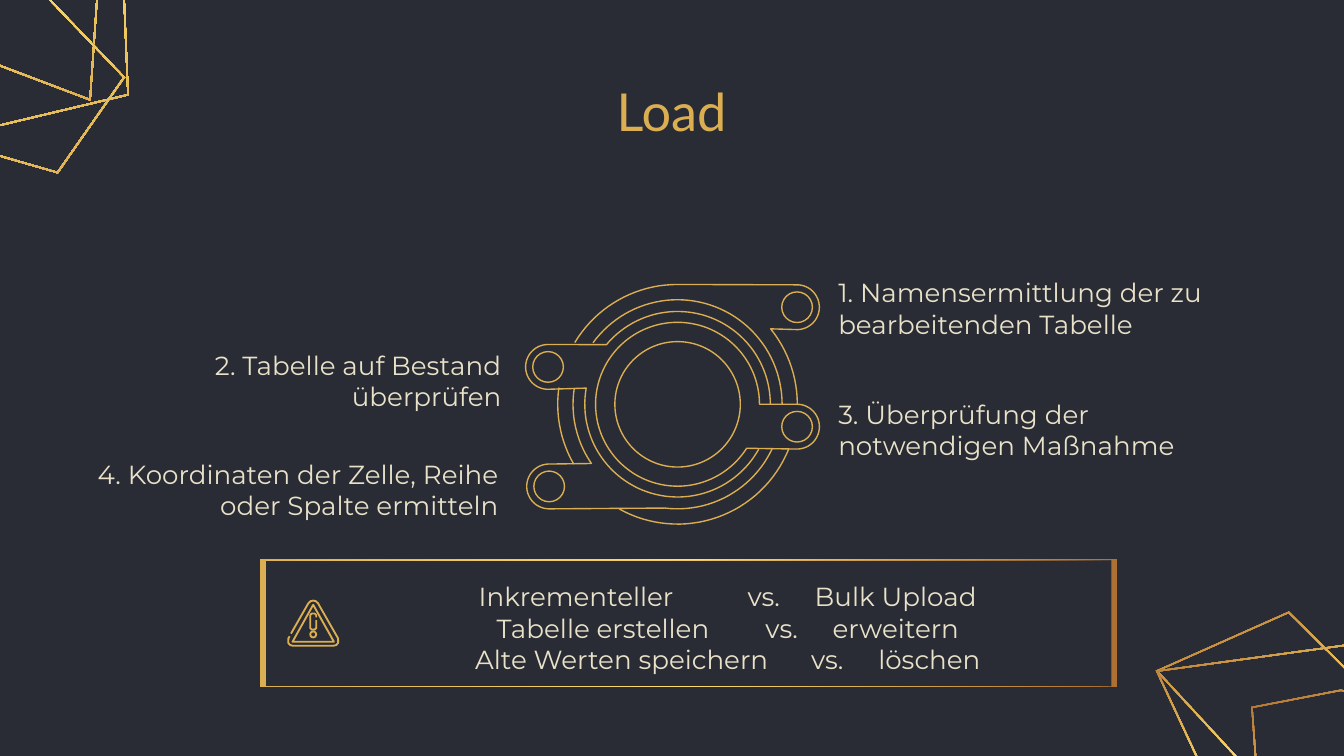
"""Build the "Load" slide: four numbered steps around a ring diagram and a warning callout."""
from math import cos, hypot, radians, sin

from pptx import Presentation
from pptx.dml.color import RGBColor
from pptx.enum.shapes import MSO_SHAPE
from pptx.enum.text import MSO_ANCHOR, MSO_AUTO_SIZE, PP_ALIGN
from pptx.oxml import parse_xml
from pptx.oxml.ns import nsdecls, qn
from pptx.util import Pt

COLORS = {"bg": "292C35", "gold": "DCAE52", "bronze": "AF7132", "bright": "FFDD6B", "cream": "E9E2C9"}
RGB = {name: RGBColor.from_string(value) for name, value in COLORS.items()}


def arc(center, radius, start, end):
    """Return points along a circular arc, with angles in degrees clockwise from the right."""
    count = max(4, round(abs(end - start) / 3))
    angles = [radians(start + (end - start) * i / count) for i in range(count + 1)]
    return [(center[0] + radius * cos(a), center[1] + radius * sin(a)) for a in angles]


def add_outline(contours, closed):
    """Add one freeform made of the given contours in points."""
    builder = s.shapes.build_freeform(Pt(contours[0][0][0]), Pt(contours[0][0][1]))
    for i, contour in enumerate(contours):
        points = [(Pt(x), Pt(y)) for x, y in contour]
        if i:
            builder.move_to(*points[0])
        builder.add_line_segments(points[1:], close=closed)
    shape = builder.convert_to_shape()
    shape.shadow.inherit = False
    return shape


prs = Presentation()
prs.slide_width, prs.slide_height = Pt(720), Pt(405)
s = prs.slides.add_slide(prs.slide_layouts[5])
s.background.fill.solid()
s.background.fill.fore_color.rgb = RGB["bg"]

corner_polygons = [
    [(48.6, 54), (59.8, -108.5), (-141, -81.2), (-104.5, -4)],
    [(811.2, 461.5), (807, 398.9), (718.5, 369.4), (670.3, 378.7), (672.5, 409), (724.3, 484.6)],
    [(757.8, 458.6), (783.4, 419.8), (690.5, 327.6), (619.2, 359.3), (696.2, 442.8)],
    [(758, 458.6), (766.1, 339.1), (619.2, 359.3), (645.8, 416.2)],
    [(69, 51.1), (65.5, -33.8), (-53.3, -76.3), (-118.8, -66.2), (-116.6, -25.2), (-49, 79.2)],
    [(31, 92.9), (67, 41.4), (-55.4, -86.4), (-153.4, -46.1), (-51.5, 69.1)],
]
THICKNESS = 0.75
bands = []
for polygon in corner_polygons:
    normals = []
    for (x1, y1), (x2, y2) in zip(polygon, polygon[1:] + polygon[:1]):
        length = hypot(x2 - x1, y2 - y1)
        normals.append(((y2 - y1) / length, (x1 - x2) / length))
    inner = []
    for i, (x, y) in enumerate(polygon):
        (ax, ay), (bx, by) = normals[i - 1], normals[i]
        k = THICKNESS / (1 + ax * bx + ay * by)
        inner.append((x + k * (ax + bx), y + k * (ay + by)))
    bands.append(([polygon, inner], 65))

frame = [[(l, t), (r, t), (r, b), (l, b)]
         for l, t, r, b in [(139.2, 299.5, 598.4, 368.3), (142.4, 300.1, 595.4, 367.7)]]
bands.append((frame, 180))

stops = "".join(f'<a:gs pos="{pos}"><a:srgbClr val="{COLORS[name]}"/></a:gs>'
                for pos, name in [(0, "bronze"), (50000, "bright"), (100000, "gold")])
for contours, angle in bands:
    band = add_outline(contours, True)
    band.line.fill.background()
    band._element.spPr.find(qn("a:custGeom")).addnext(parse_xml(
        f'<a:gradFill {nsdecls("a")}><a:gsLst>{stops}</a:gsLst>'
        f'<a:lin ang="{angle * 60000}" scaled="0"/></a:gradFill>'))

hub = (363, 216.6)
R1, R2, R3, R4, HUB_R, TAB_R, HOLE_R = 64.2, 56, 49.7, 43.9, 33.6, 12, 8.2
tabs = [(x, 164.6 + 32 * i) for i, x in enumerate([427, 293.6, 427, 294.2])]
ring_paths = [
    arc(hub, R1, 119, 22),
    arc(hub, R1, 188, 150),
    arc(hub, R1, 0, -39) + arc(tabs[0], TAB_R, 90, -90) + arc(hub, R1, -90, -149),
    arc(hub, R2, 189, 145.5) + arc(tabs[3], TAB_R, -90, -270) + arc(hub, R2, 97, 25),
    arc(hub, R2, 0, -144),
    arc(hub, R3, 0, -140) + arc(tabs[1], TAB_R, -90, -270) + arc(hub, R3, 190, 29),
    arc(hub, R4, 32.5, 360) + arc(tabs[2], TAB_R, -90, 90) + arc(hub, R4, 32.5, 32.5)[:1],
]
icon_paths = [
    [(155.9, 339.5), (165.2, 323.3), (166.4, 322.1), (167.8, 321.8), (169.2, 322.1), (170.4, 323.3),
     (181.1, 342), (181.2, 344.4), (180.2, 345.6), (178.6, 346), (157, 346), (155.4, 345.6),
     (154.4, 344.4), (154.5, 342), (155.2, 340.9)],
    [(167.8, 324), (178.9, 343.8), (156.7, 343.8), (167.8, 324)],
    [(169.4, 332.3), (169.4, 336.5), (168.6, 337.3), (167, 337.3), (166.2, 336.5), (166.2, 329.5),
     (167, 328.7), (168.6, 328.7), (169.4, 329.5), (169.4, 330.8)],
]
circles = [(hub, HUB_R, 0.75)] + [(tab, HOLE_R, 0.75) for tab in tabs] + [((167.8, 339.9), 1.6, 1)]
outlines = [(add_outline([path], False), 0.75) for path in ring_paths]
outlines += [(add_outline([path], False), 1) for path in icon_paths]
for (x, y), radius, width in circles:
    circle = s.shapes.add_shape(MSO_SHAPE.OVAL, Pt(x - radius), Pt(y - radius), Pt(2 * radius), Pt(2 * radius))
    circle.shadow.inherit = False
    outlines.append((circle, width))
for shape, width in outlines:
    shape.fill.background()
    shape.line.color.rgb = RGB["gold"]
    shape.line.width = Pt(width)

title = s.shapes.title
title_font = {"name": "Lato", "size": Pt(28)}
body_font = {"name": "Montserrat", "size": Pt(14)}
texts = [
    (title, (157, 42.5, 405.4, 33.8), PP_ALIGN.CENTER, ["Load"]),
    (None, (31, 180, 244.8, 45), PP_ALIGN.RIGHT, ["2. Tabelle auf Bestand überprüfen"]),
    (None, (29.5, 238.3, 244.8, 45), PP_ALIGN.RIGHT, ["4. Koordinaten der Zelle, Reihe oder Spalte ermitteln"]),
    (None, (442, 141, 244.8, 45), PP_ALIGN.LEFT, ["1. Namensermittlung der zu bearbeitenden Tabelle"]),
    (None, (442, 206, 244.8, 45), PP_ALIGN.LEFT, ["3. Überprüfung der notwendigen Maßnahme"]),
    (None, (197.3, 303.8, 385.2, 60), PP_ALIGN.CENTER,
     ["Inkrementeller \tvs. \tBulk Upload", "Tabelle erstellen \tvs. \terweitern",
      "Alte Werten speichern \tvs. \tlöschen"]),
]
for holder, box, align, lines in texts:
    box = [Pt(v) for v in box]
    shape = holder or s.shapes.add_textbox(*box)
    shape.left, shape.top, shape.width, shape.height = box
    tf = shape.text_frame
    frame_format = {
        "word_wrap": True, "auto_size": MSO_AUTO_SIZE.NONE,
        "vertical_anchor": MSO_ANCHOR.MIDDLE if holder else MSO_ANCHOR.TOP,
        "margin_left": Pt(7.2), "margin_right": Pt(7.2), "margin_top": Pt(7.2), "margin_bottom": Pt(7.2),
    }
    for key, value in frame_format.items():
        setattr(tf, key, value)
    for i, line in enumerate(lines):
        p = tf.add_paragraph() if i else tf.paragraphs[0]
        p.alignment = align
        r = p.add_run()
        r.text = line
        for key, value in (title_font if holder else body_font).items():
            setattr(r.font, key, value)
        r.font.color.rgb = RGB["gold" if holder else "cream"]

prs.save("out.pptx")
